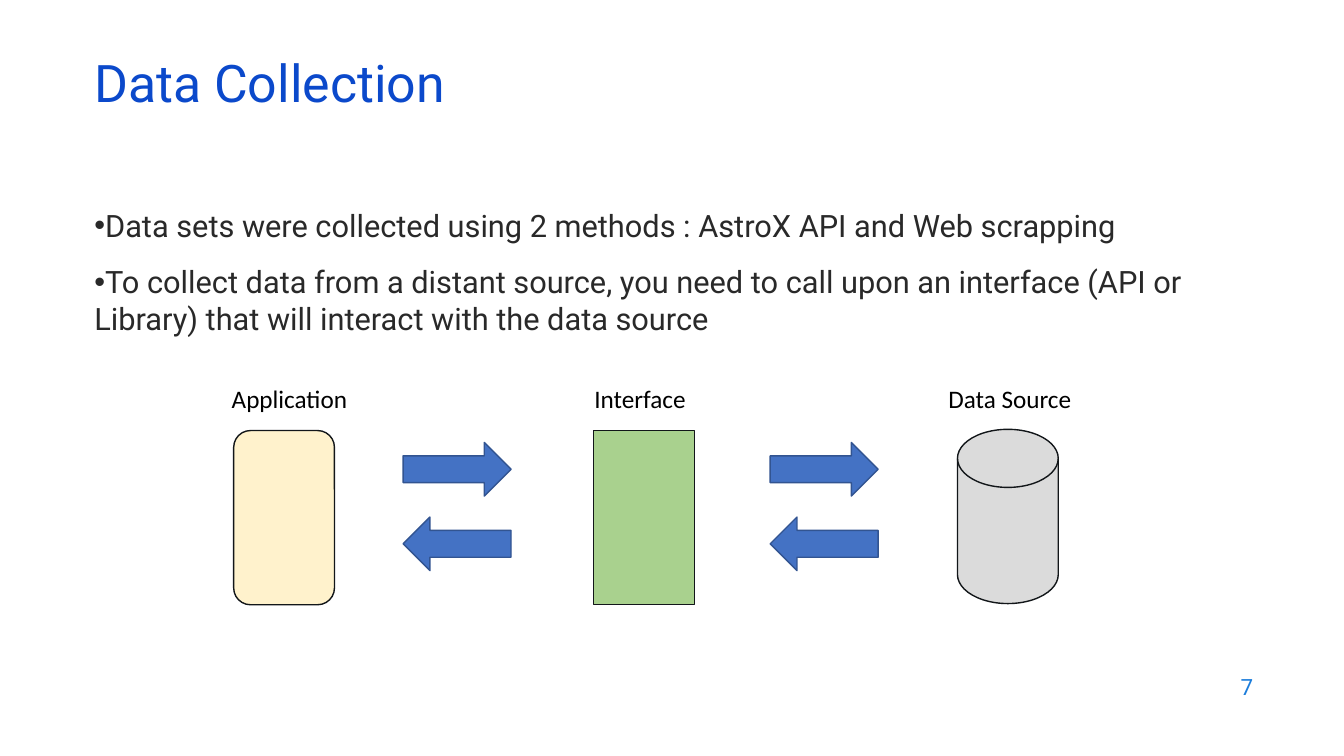
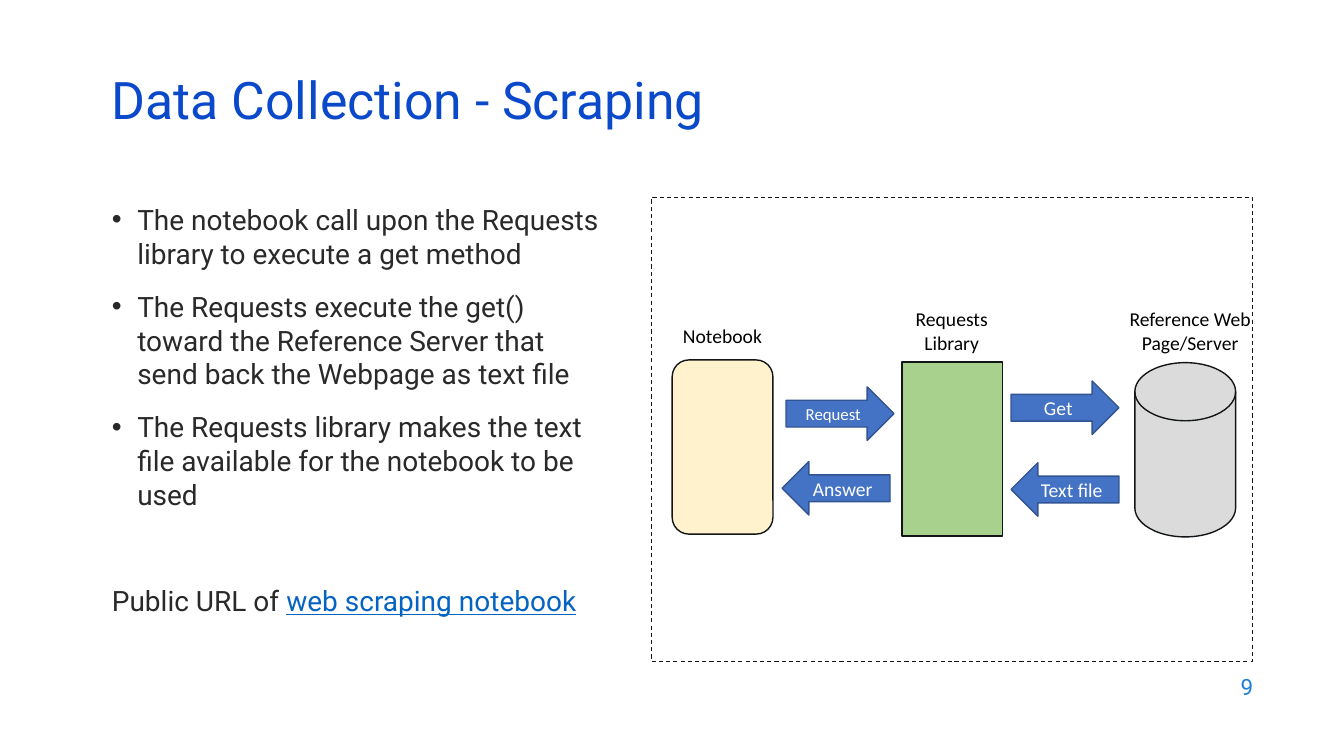
from dataclasses import dataclass

from lxml import etree
from pptx import Presentation
from pptx.dml.color import RGBColor
from pptx.enum.dml import MSO_LINE
from pptx.enum.shapes import MSO_SHAPE
from pptx.enum.text import MSO_ANCHOR, PP_ALIGN
from pptx.oxml.ns import qn
from pptx.util import Cm, Pt

ROUNDED, RECT = MSO_SHAPE.ROUNDED_RECTANGLE, MSO_SHAPE.RECTANGLE
DISK = MSO_SHAPE.FLOWCHART_MAGNETIC_DISK
RIGHT_ARROW, LEFT_ARROW = MSO_SHAPE.RIGHT_ARROW, MSO_SHAPE.LEFT_ARROW
DASH = MSO_LINE.DASH
TOP, MIDDLE = MSO_ANCHOR.TOP, MSO_ANCHOR.MIDDLE
LEFT, CENTER, RIGHT = PP_ALIGN.LEFT, PP_ALIGN.CENTER, PP_ALIGN.RIGHT

INK, ARROW_FILL, ARROW_LINE = "121619", "4472C4", "325491"
LINK_COLOUR = "0563C1"
FILLS = {ROUNDED: "FFF2CC", RECT: "A9D18E", DISK: "DBDBDB"}
NODE_SIZE = (2.54, 4.39)
ARROW_SIZE = (2.72, 1.35)
TITLE_SIZE = (29.21, 1.52)
PAGE_NUMBER_BOX = (24.21, 16.74, 7.62, 1.12)
PARAGRAPH_GAP = 14


@dataclass(frozen=True)
class TextStyle:
    size: float
    colour: str
    name: str = "Roboto"
    align: PP_ALIGN = LEFT
    anchor: MSO_ANCHOR = TOP
    line_spacing: float | None = None


TITLE = TextStyle(37, "0B49CB", anchor=MIDDLE, line_spacing=0.7)
PAGE_NUMBER = TextStyle(16, "1C7DDB", align=RIGHT, anchor=MIDDLE)


@dataclass(frozen=True)
class Node:
    """A system in the flow; label_box is left, top, width, height."""
    kind: MSO_SHAPE
    left: float
    top: float
    label: str
    label_box: tuple


@dataclass(frozen=True)
class Arrow:
    kind: MSO_SHAPE
    left: float
    top: float
    text: str = ""
    size: float = 14


@dataclass(frozen=True)
class Page:
    number: int
    title: str
    title_at: tuple
    bullets: list
    body_box: tuple
    body_size: float
    hanging: float
    nodes: list
    label_style: TextStyle
    arrows: list
    frame_box: tuple | None = None
    link: tuple | None = None


PAGES = [
    Page(
        number=7,
        title="Data Collection",
        title_at=(2.13, 1.5),
        bullets=[
            "Data sets were collected using 2 methods : AstroX API and Web scrapping",
            "To collect data from a distant source, you need to call upon an "
            "interface (API or Library) that will interact with the data source",
        ],
        body_box=(2.13, 5.08, 29.21, 11.66),
        body_size=22,
        hanging=0,
        nodes=[
            Node(ROUNDED, 5.89, 10.85, "Application", (5.59, 9.53, 3.56, 1.02)),
            Node(RECT, 14.96, 10.85, "Interface", (14.73, 9.53, 2.97, 1.02)),
            Node(DISK, 24.13, 10.82, "Data Source", (23.65, 9.53, 3.86, 1.02)),
        ],
        label_style=TextStyle(18, "000000", "Calibri"),
        arrows=[Arrow(kind, left, top)
                for left in (10.16, 19.41)
                for kind, top in ((RIGHT_ARROW, 11.15), (LEFT_ARROW, 13.03))],
    ),
    Page(
        number=9,
        title="Data Collection - Scraping",
        title_at=(2.57, 1.93),
        bullets=[
            "The notebook call upon the Requests library to execute a get method",
            "The Requests execute the get() toward the Reference Server that "
            "send back the Webpage as text file",
            "The Requests library makes the text file available for the "
            "notebook to be used",
        ],
        body_box=(2.57, 4.98, 12.95, 11.73),
        body_size=20,
        hanging=0.64,
        nodes=[
            Node(ROUNDED, 16.94, 9.07, "Notebook", (16.43, 8.05, 3.56, 0.86)),
            Node(RECT, 22.73, 9.12, "Requests\nLibrary", (22.5, 7.62, 2.97, 1.45)),
            Node(DISK, 28.6, 9.14, "Reference Web Page/Server",
                 (27.91, 7.62, 4.17, 1.45)),
        ],
        label_style=TextStyle(14, "000000", "Calibri", CENTER),
        arrows=[
            Arrow(RIGHT_ARROW, 19.81, 9.75, "Request", 12),
            Arrow(RIGHT_ARROW, 25.48, 9.6, "Get"),
            Arrow(LEFT_ARROW, 25.48, 11.66, "Text file"),
            Arrow(LEFT_ARROW, 19.71, 11.63, "Answer"),
        ],
        frame_box=(16.41, 4.98, 15.16, 11.68),
        link=("Public URL of ", "web scraping notebook"),
    ),
]


def rgb(colour: str) -> RGBColor:
    return RGBColor.from_string(colour)


def set_attributes(target, values: dict) -> None:
    for name, value in values.items():
        setattr(target, name, value)


def add_run(p, text: str, style: TextStyle):
    r = p.add_run()
    r.text = text
    set_attributes(r.font, {"name": style.name, "size": Pt(style.size)})
    r.font.color.rgb = rgb(style.colour)
    return r


def write(tf, text: str, style: TextStyle) -> None:
    """Fill an empty text frame, one paragraph for each line."""
    set_attributes(tf, {"word_wrap": True, "vertical_anchor": style.anchor})
    for i, line in enumerate(text.split("\n")):
        p = tf.add_paragraph() if i else tf.paragraphs[0]
        set_attributes(p, {"alignment": style.align,
                           "line_spacing": style.line_spacing})
        add_run(p, line, style)


def add_text(s, box: tuple, text: str, style: TextStyle) -> None:
    write(s.shapes.add_textbox(*map(Cm, box)).text_frame, text, style)


def add_shape(s, kind: MSO_SHAPE, box: tuple, fill: str | None,
              line: str, width: float = 1):
    sp = s.shapes.add_shape(kind, *map(Cm, box))
    sp.shadow.inherit = False
    if fill:
        sp.fill.solid()
        sp.fill.fore_color.rgb = rgb(fill)
    else:
        sp.fill.background()
    sp.line.color.rgb = rgb(line)
    sp.line.width = Pt(width)
    return sp


def add_bullet(p, hanging: float) -> None:
    pPr = p._p.get_or_add_pPr()
    pPr.set("marL", str(Cm(hanging)))
    pPr.set("indent", str(-Cm(hanging)))
    font = etree.SubElement(pPr, qn("a:buFont"))
    font.set("typeface", "Arial")
    etree.SubElement(pPr, qn("a:buChar")).set("char", "•")


def add_body(s, page: Page) -> None:
    style = TextStyle(page.body_size, "292929")
    tf = s.shapes.add_textbox(*map(Cm, page.body_box)).text_frame
    tf.word_wrap = True
    for i, text in enumerate(page.bullets):
        p = tf.add_paragraph() if i else tf.paragraphs[0]
        add_bullet(p, page.hanging)
        if i:
            p.space_before = Pt(PARAGRAPH_GAP)
        add_run(p, text, style)
    if page.link:
        lead, link = page.link
        p = tf.add_paragraph()
        p.space_before = Pt(52)
        add_run(p, lead, style)
        r = add_run(p, link, TextStyle(page.body_size, LINK_COLOUR))
        r.font.underline = True


def add_flow(s, page: Page) -> None:
    if page.frame_box:
        frame = add_shape(s, RECT, page.frame_box, None, INK, 0.75)
        frame.line.dash_style = DASH
    for node in page.nodes:
        add_shape(s, node.kind, (node.left, node.top, *NODE_SIZE),
                  FILLS[node.kind], INK)
        add_text(s, node.label_box, node.label, page.label_style)
    for arrow in page.arrows:
        sp = add_shape(s, arrow.kind, (arrow.left, arrow.top, *ARROW_SIZE),
                       ARROW_FILL, ARROW_LINE)
        if arrow.text:
            write(sp.text_frame, arrow.text,
                  TextStyle(arrow.size, "FFFFFF", "Calibri", CENTER, MIDDLE))


def add_page(prs, page: Page) -> None:
    s = prs.slides.add_slide(prs.slide_layouts[6])
    add_text(s, PAGE_NUMBER_BOX, str(page.number), PAGE_NUMBER)
    add_body(s, page)
    add_text(s, (*page.title_at, *TITLE_SIZE), page.title, TITLE)
    add_flow(s, page)


def main() -> None:
    prs = Presentation()
    set_attributes(prs, {"slide_width": Cm(33.87), "slide_height": Cm(19.05)})
    for page in PAGES:
        add_page(prs, page)
    prs.save("out.pptx")


if __name__ == "__main__":
    main()
